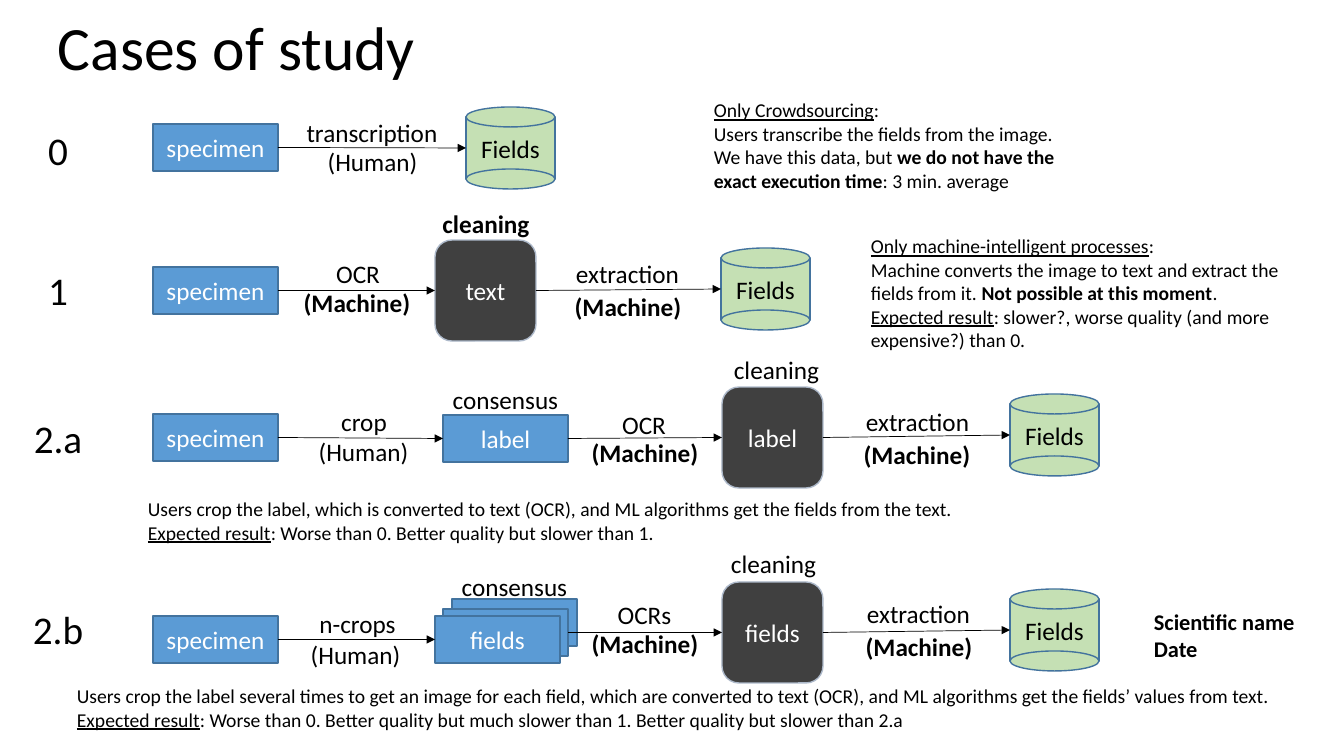
from dataclasses import dataclass
from lxml import etree
from pptx import Presentation, util as u
from pptx.dml.color import RGBColor
from pptx.enum import shapes, text
from pptx.oxml import ns

SCALE = 914400 / 100.8
KIND = shapes.MSO_SHAPE
LEFT, MID = text.PP_ALIGN.LEFT, text.PP_ALIGN.CENTER


@dataclass(frozen=True)
class Theme:
    """Colours, font and type sizes."""
    font: str = "Calibri"
    ink: str = "000000"
    pale: str = "FFFFFF"
    blue: str = "5B9BD5"
    edge: str = "43739E"
    green: str = "C5E0B4"
    dark: str = "404040"
    rim: str = "ADB9CA"
    title: int = 44
    case: int = 28
    label: int = 18
    name: int = 16
    note: int = 14


LOOK = Theme()


def emu(*sizes):
    """Turn pixels into EMU."""
    return [u.Emu(round(size * SCALE)) for size in sizes]


def put(item, form):
    """Set attributes from a dict of format values."""
    for key, value in form.items():
        setattr(item, key, value)


def write(frame, words, size, tint=LOOK.ink, align=LEFT, wrap=True, space=1):
    """Fill a frame; *...* is bold and _..._ is underlined."""
    put(frame, {"word_wrap": wrap})
    for row, line in enumerate(words.split("\n")):
        para = frame.paragraphs[0] if row == 0 else frame.add_paragraph()
        put(para, {"alignment": align, "line_spacing": space})
        for i, part in enumerate(line.split("*")):
            for j, piece in enumerate(part.split("_")):
                if piece:
                    run = para.add_run()
                    run.text = piece
                    put(run.font, {"name": LOOK.font, "size": u.Pt(size),
                                   "bold": i % 2 == 1, "underline": j % 2 == 1})
                    run.font.color.rgb = RGBColor.from_string(tint)


def note(slide, box, words, size=LOOK.note, **form):
    """Place plain text in a box."""
    frame = slide.shapes.add_textbox(*emu(*box)).text_frame
    write(frame, words, size, **form)
    return frame


def solid(slide, kind, box, fill, edge, words="", tint=LOOK.pale):
    """Place a filled shape with centred words."""
    shape = slide.shapes.add_shape(kind, *emu(*box))
    shape.shadow.inherit = False
    shape.fill.solid()
    shape.fill.fore_color.rgb = RGBColor.from_string(fill)
    shape.line.color.rgb = RGBColor.from_string(edge)
    shape.line.width = u.Pt(1)
    shape.text_frame.vertical_anchor = text.MSO_ANCHOR.MIDDLE
    if words:
        write(shape.text_frame, words, LOOK.label, tint, MID)


def ports(x, y, wide, high):
    """Give the entry and exit points of a node."""
    return (x, y + high / 2), (x + wide, y + high / 2)


def tile(slide, x, y, words):
    """Draw a blue data tile."""
    box = x, y, 125, 47
    solid(slide, KIND.RECTANGLE, box, LOOK.blue, LOOK.edge, words)
    return ports(*box)


def stack(slide, x, y, words):
    """Draw three tiles; the middle one holds the exit."""
    tile(slide, x + 17, y - 17, "")
    exit = tile(slide, x + 8, y - 7, "")[1]
    return tile(slide, x, y, words)[0], exit


def chip(slide, x, y, words):
    """Draw a dark rounded cleaning step."""
    box = x, y, 101, 101
    solid(slide, KIND.ROUNDED_RECTANGLE, box, LOOK.dark, LOOK.rim, words)
    return ports(*box)


def store(slide, x, y, words):
    """Draw a green drum from a body and two ellipses."""
    wide, high, lid = 89, 82, 20
    tints = LOOK.green, LOOK.edge
    body = x, y + lid / 2, wide, high - lid
    solid(slide, KIND.RECTANGLE, body, *tints, words, LOOK.ink)
    for top in (y + high - lid, y):
        solid(slide, KIND.OVAL, (x, top, wide, lid), *tints)
    return ports(x, y, wide, high)


def arrow(slide, start, end):
    """Draw a thin arrow between two points."""
    link = slide.shapes.add_connector(
        shapes.MSO_CONNECTOR.STRAIGHT, *emu(*start, *end))
    link.line.color.rgb = RGBColor.from_string(LOOK.ink)
    link.line.width = u.Pt(0.5)
    etree.SubElement(link.line._get_or_add_ln(), ns.qn("a:tailEnd"), type="triangle")
    etree.SubElement(link._element.spPr, ns.qn("a:effectLst"))


def case(slide, box, num, drop, nodes, labels):
    """Draw one case: its number, linked nodes and step labels."""
    left, top = box
    note(slide, (left, top + drop, 76, 57), num, LOOK.case, align=MID, wrap=False)
    ends = [draw(slide, left + x, top + y, words) for draw, x, y, words in nodes]
    for (_, start), (end, _) in zip(ends, ends[1:]):
        arrow(slide, start, end)
    for words, x, y, wide in labels:
        note(slide, (left + x, top + y, wide, 40), words, LOOK.label,
             align=MID, wrap=False)


def head(slide, box):
    """Place the slide title."""
    frame = note(slide, box, "Cases of study", LOOK.title, space=0.9)
    frame.vertical_anchor = text.MSO_ANCHOR.MIDDLE


CASES = [
    ((20, 105), "0", 16,
     [(tile, 133, 19, "specimen"), (store, 446, 2, "Fields")],
     [("transcription", 276, 7, 152), ("(Human)", 297, 36, 111)]),
    ((20, 200), "1", 61,
     [(tile, 133, 67, "specimen"), (chip, 415, 40, "text"),
      (store, 701, 48, "Fields")],
     [("OCR", 306, 53, 64), ("*(Machine)*", 273, 82, 128),
      ("*cleaning*", 412, 3, 108),
      ("extraction", 545, 53, 125), ("*(Machine)*", 544, 86, 128)]),
    ((20, 345), "2.a", 64,
     [(tile, 133, 69, "specimen"), (tile, 423, 70, "label"),
      (chip, 702, 42, "label"), (store, 990, 49, "Fields")],
     [("crop", 311, 56, 66), ("(Human)", 288, 86, 111),
      ("consensus", 422, 34, 127),
      ("OCR", 592, 59, 64), ("*(Machine)*", 561, 87, 128),
      ("cleaning", 703, 4, 107),
      ("extraction", 835, 56, 125), ("*(Machine)*", 833, 89, 128)]),
    ((20, 540), "2.b", 60,
     [(tile, 133, 76, "specimen"), (stack, 415, 76, "fields"),
      (chip, 702, 42, "fields"), (store, 990, 49, "Fields")],
     [("n-crops", 271, 63, 133), ("(Human)", 280, 94, 111),
      ("consensus", 431, 26, 127),
      ("OCRs", 587, 54, 75), ("*(Machine)*", 561, 83, 128),
      ("cleaning", 700, 3, 107),
      ("extraction", 836, 53, 125), ("*(Machine)*", 835, 86, 128)]),
]

NOTES = [
    ((704, 93, 374, 105),
     "_Only Crowdsourcing_:\nUsers transcribe the fields from the image.\n"
     "We have this data, but *we do not have the exact execution time*: "
     "3 min. average"),
    ((861, 229, 462, 129),
     "_Only machine-intelligent processes_:\n"
     "Machine converts the image to text and extract the fields from it. "
     "*Not possible at this moment*.\n"
     "_Expected result_: slower?, worse quality (and more expensive?) than 0."),
    ((138, 492, 833, 57),
     "Users crop the label, which is converted to text (OCR), and ML "
     "algorithms get the fields from the text.\n"
     "_Expected result_: Worse than 0. Better quality but slower than 1."),
    ((67, 679, 1276, 57),
     "Users crop the label several times to get an image for each field, "
     "which are converted to text (OCR), and ML algorithms get the fields’ "
     "values from text.\n"
     "_Expected result_: Worse than 0. Better quality but much slower than 1. "
     "Better quality but slower than 2.a"),
    ((1144, 603, 174, 65), "*Scientific name*\n*Date*", LOOK.name),
]

deck = Presentation()
put(deck, dict(zip(("slide_width", "slide_height"), emu(1344, 756))))
page = deck.slides.add_slide(deck.slide_layouts[6])
head(page, (48, 8, 1159, 86))
for spec in CASES:
    case(page, *spec)
for item in NOTES:
    note(page, *item)
deck.save("out.pptx")
